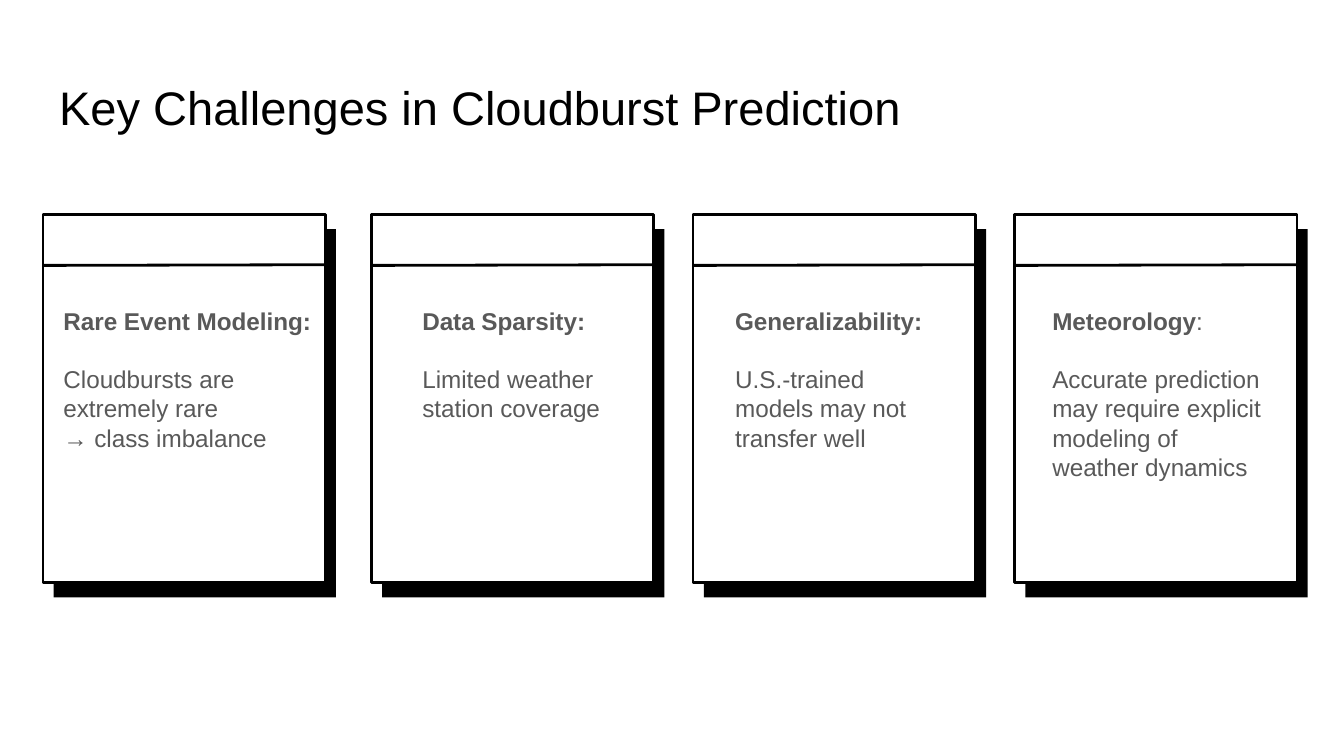
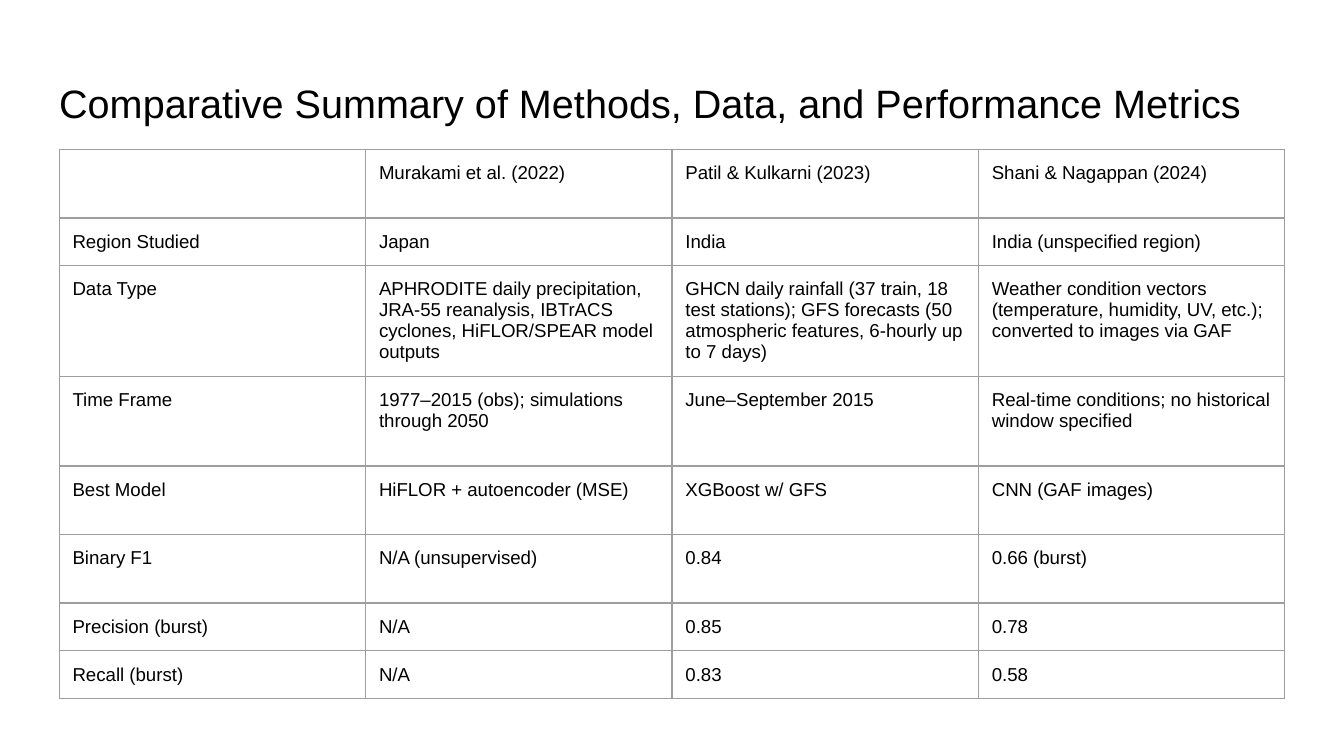
"""Build two slides on cloudburst prediction: its challenges and a comparison of methods."""
import lxml.etree
import pptx
import pptx.dml.color
import pptx.enum.shapes
import pptx.enum.text
import pptx.oxml.ns
import pptx.util

FONT = "Arial"
BLACK, WHITE, GREY, RULE = "000000", "FFFFFF", "595959", "9E9E9E"
COLUMNS = 100
COMPARISON_LAYOUT, TITLE_ONLY_LAYOUT = 4, 5
CARD_WIDTH, CARD_HEIGHT, CARD_TOP = 21, 27.4, 15.95
SHADOW_RIGHT, SHADOW_DOWN = 0.8, 1.1

CHALLENGES = [
    (3.2, 3.72, 21.8, [("Rare Event Modeling:", True)],
     ["Cloudbursts are extremely rare", "→ class imbalance"]),
    (27.63, 30.42, 20.2, [("Data Sparsity:", True)],
     ["Limited weather station coverage"]),
    (51.57, 53.7, 17.5, [("Generalizability:", True)],
     ["U.S.-trained models may not transfer well"]),
    (75.5, 77.3, 18.1, [("Meteorology", True), (":", False)],
     ["Accurate prediction may require explicit modeling of weather dynamics"]),
]

STUDIES = [
    (5.1, ["", "Murakami et al. (2022)", "Patil & Kulkarni (2023)", "Shani & Nagappan (2024)"]),
    (3.55, ["Region Studied", "Japan", "India", "India (unspecified region)"]),
    (8.25, ["Data Type",
            "APHRODITE daily precipitation, JRA-55 reanalysis, IBTrACS cyclones, "
            "HiFLOR/SPEAR model outputs",
            "GHCN daily rainfall (37 train, 18 test stations); GFS forecasts "
            "(50 atmospheric features, 6-hourly up to 7 days)",
            "Weather condition vectors (temperature, humidity, UV, etc.); "
            "converted to images via GAF"]),
    (6.65, ["Time Frame", "1977–2015 (obs); simulations through 2050",
            "June–September 2015", "Real-time conditions; no historical window specified"]),
    (5.1, ["Best Model", "HiFLOR + autoencoder (MSE)", "XGBoost w/ GFS", "CNN (GAF images)"]),
    (5.1, ["Binary F1", "N/A (unsupervised)", "0.84", "0.66 (burst)"]),
    (3.55, ["Precision (burst)", "N/A", "0.85", "0.78"]),
    (3.55, ["Recall (burst)", "N/A", "0.83", "0.58"]),
]


def color(hex_code):
    return pptx.dml.color.RGBColor.from_string(hex_code)


def add_xml(parent, tag, **attributes):
    return lxml.etree.SubElement(parent, pptx.oxml.ns.qn(tag), attributes)


class Deck:
    def __init__(self):
        self.show = pptx.Presentation()
        self.show.slide_width = pptx.util.Inches(10)
        self.show.slide_height = self.show.slide_width * 9 // 16
        self.slide = None

    def grid(self, *cells):
        return [round(cell * self.show.slide_width / COLUMNS) for cell in cells]

    def style(self, paragraph, size, hex_code, bold=None):
        paragraph.alignment = pptx.enum.text.PP_ALIGN.LEFT
        paragraph.font.name = FONT
        paragraph.font.size = pptx.util.Pt(size)
        paragraph.font.color.rgb = color(hex_code)
        paragraph.font.bold = bold

    def inset(self, box):
        box.margin_left, box.margin_right, box.margin_top, box.margin_bottom = self.grid(1, 1, 1, 1)

    def place(self, holder, left, top, width, height):
        holder.left, holder.top, holder.width, holder.height = self.grid(left, top, width, height)
        frame = holder.text_frame
        frame.word_wrap = True
        frame.auto_size = pptx.enum.text.MSO_AUTO_SIZE.NONE
        frame.vertical_anchor = pptx.enum.text.MSO_ANCHOR.TOP
        self.inset(frame)
        return frame

    def start(self, layout, title, size):
        self.slide = self.show.slides.add_slide(self.show.slide_layouts[layout])
        frame = self.place(self.slide.shapes.title, 3.4, 4.87, 93.2, 6.3)
        frame.text = title
        self.style(frame.paragraphs[0], size, BLACK)

    def panel(self, group, left, top, fill, outline=None):
        panel = group.shapes.add_shape(
            pptx.enum.shapes.MSO_SHAPE.ROUNDED_RECTANGLE,
            *self.grid(left, top, CARD_WIDTH, CARD_HEIGHT))
        panel.adjustments[0] = 0
        panel.shadow.inherit = False
        panel.fill.solid()
        panel.fill.fore_color.rgb = color(fill)
        if outline:
            panel.line.color.rgb = color(outline)
            panel.line.width = pptx.util.Pt(1.5)
        else:
            panel.line.fill.background()

    def card(self, left):
        group = self.slide.shapes.add_group_shape()
        self.panel(group, left + SHADOW_RIGHT, CARD_TOP + SHADOW_DOWN, BLACK)
        self.panel(group, left, CARD_TOP, WHITE, BLACK)
        divider = group.shapes.add_connector(
            pptx.enum.shapes.MSO_CONNECTOR.STRAIGHT,
            *self.grid(left, CARD_TOP + 3.8, left + CARD_WIDTH + 0.1, CARD_TOP + 3.75))
        divider.line.color.rgb = color(BLACK)
        divider.line.width = pptx.util.Pt(1.5)
        add_xml(divider.element.spPr, "a:effectLst")

    def body(self, holder, left, width, heading, lines):
        holder.element.getparent().append(holder.element)
        frame = self.place(holder, left, 21.8, width, 21.3)
        for index, pieces in enumerate([heading] + [[(line, False)] for line in lines]):
            paragraph = frame.add_paragraph() if index else frame.paragraphs[0]
            paragraph.line_spacing = 1.0
            paragraph.space_before = pptx.util.Pt(15.5 if index == 1 else 0)
            properties = paragraph._p.get_or_add_pPr()
            properties.set("marL", "0")
            properties.set("indent", "0")
            add_xml(properties, "a:buNone")
            agreed = pieces[0][1] if len(pieces) == 1 else None
            self.style(paragraph, 13, GREY, agreed)
            for text, bold in pieces:
                run = paragraph.add_run()
                run.text = text
                if agreed is None:
                    run.font.bold = bold

    def border(self, cell):
        properties = cell._tc.get_or_add_tcPr()
        for side in ("a:lnL", "a:lnR", "a:lnT", "a:lnB"):
            edge = add_xml(properties, side, w=str(pptx.util.Pt(0.75)))
            add_xml(add_xml(edge, "a:solidFill"), "a:srgbClr", val=RULE)

    def table(self, left, top, column_width, rows):
        count = len(rows[0][1])
        height = sum(row_height for row_height, _ in rows)
        table = self.slide.shapes.add_table(
            len(rows), count, *self.grid(left, top, column_width * count, height)).table
        table.first_row = table.horz_banding = False
        for column in table.columns:
            column.width, = self.grid(column_width)
        for row, (row_height, texts) in zip(table.rows, rows):
            row.height, = self.grid(row_height)
            for cell, text in zip(row.cells, texts):
                cell.text = text
                self.inset(cell)
                self.border(cell)
                cell.fill.background()
                self.style(cell.text_frame.paragraphs[0], 10, BLACK)


def main():
    deck = Deck()
    deck.start(COMPARISON_LAYOUT, "Key Challenges in Cloudburst Prediction", 25.2)
    bodies = list(deck.slide.placeholders)[1:]
    for holder, (card_left, text_left, width, heading, lines) in zip(bodies, CHALLENGES):
        deck.card(card_left)
        deck.body(holder, text_left, width, heading, lines)

    deck.start(TITLE_ONLY_LAYOUT, "Comparative Summary of Methods, Data, and Performance Metrics", 21.2)
    deck.table(4.4, 11.12, 22.8, STUDIES)
    deck.show.save("out.pptx")


if __name__ == "__main__":
    main()
